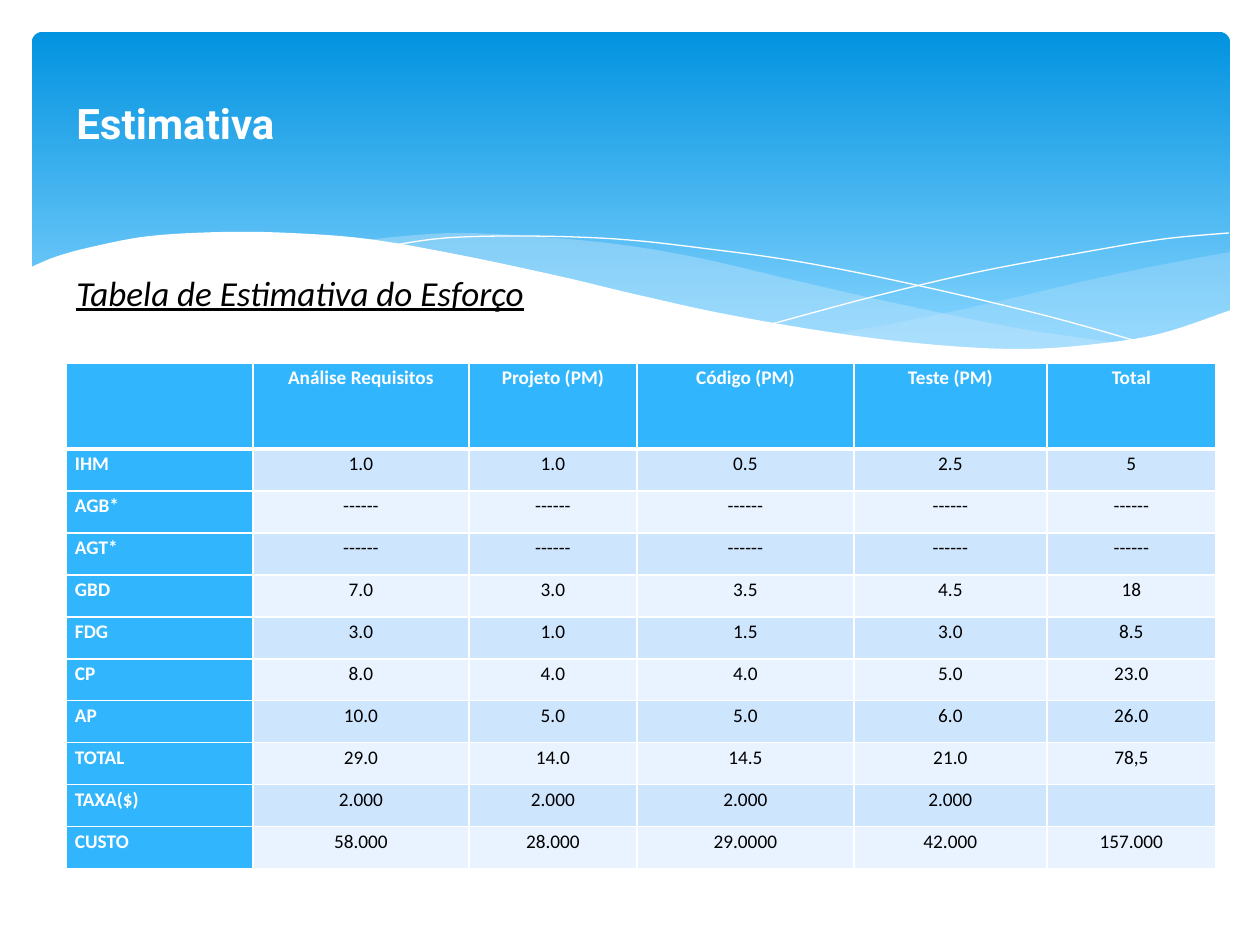
from lxml import etree
from pptx import Presentation, util as u
from pptx.dml.color import RGBColor
from pptx.enum import shapes, text
from pptx.oxml.ns import qn

PX = 914400 // 126
COLORS = {"white": "FFFFFF", "black": "000000", "sky_top": "0293E0", "sky_end": "83D3FE",
          "mist": "C6E7FC", "head": "31B6FD", "odd": "CEE5FE", "even": "E8F3FF"}

# Content
TEXTS = [
    ("Estimativa", (64, 91, 263, 63),
     {"size": u.Pt(24), "name": "Roboto", "bold": True}, "white"),
    ("Tabela de Estimativa do Esforço", (64, 265, 483, 55),
     {"size": u.Pt(20), "name": "Calibri", "italic": True, "underline": True}, "black"),
]
ROWS = [
    ("", "Análise Requisitos", "Projeto (PM)", "Código (PM)", "Teste (PM)", "Total"),
    ("IHM", "1.0", "1.0", "0.5", "2.5", "5"),
    ("AGB*",) + ("------",) * 5,
    ("AGT*",) + ("------",) * 5,
    ("GBD", "7.0", "3.0", "3.5", "4.5", "18"),
    ("FDG", "3.0", "1.0", "1.5", "3.0", "8.5"),
    ("CP", "8.0", "4.0", "4.0", "5.0", "23.0"),
    ("AP", "10.0", "5.0", "5.0", "6.0", "26.0"),
    ("TOTAL", "29.0", "14.0", "14.5", "21.0", "78,5"),
    ("TAXA($)", "2.000", "2.000", "2.000", "2.000", ""),
    ("CUSTO", "58.000", "28.000", "29.0000", "42.000", "157.000"),
]
COL_WIDTHS = (187, 216, 168, 217, 193, 169)
HEAD_HEIGHT, ROW_HEIGHT = 86, 42
TABLE_LEFT, TABLE_TOP = 66, 363
BAND = (32, 32, 1198, 340)

# Waves, back to front: edges (knots of smooth curves), fill, opacity in %
WAVES = [
    ([[(1230, 252), (1160, 265), (1085, 281), (982, 305), (890, 324), (833, 334)],
      [(833, 334), (906, 343), (969, 349), (1026, 350), (1087, 347), (1150, 336),
       (1196, 324), (1230, 311)]], "mist", 29),
    ([[(1125, 344), (1017, 328), (890, 302), (793, 280), (699, 258), (616, 244),
       (529, 236), (455, 233), (394, 237), (360, 241)],
      [(360, 241), (456, 256), (566, 280), (668, 302), (779, 325), (876, 340),
       (959, 349), (1031, 350), (1080, 349), (1125, 344)]], "mist", 40),
    ([[(389, 246), (445, 238), (524, 236), (616, 239), (701, 248), (801, 262),
       (916, 285), (1047, 316), (1143, 343)]], None, 100),
    ([[(772, 324), (876, 296), (978, 272), (1091, 251), (1164, 239), (1229, 233)]],
     None, 100),
    ([[(1231, 310), (1159, 334), (1087, 345), (1019, 349), (937, 345), (842, 334),
       (730, 315), (634, 294), (563, 277), (460, 255), (368, 239), (290, 233),
       (223, 232), (150, 236), (96, 246), (58, 256), (29, 268)],
      [(29, 415), (1231, 415)]], "white", 100),
]


def rgb(name):
    return RGBColor.from_string(COLORS[name])


def emu(*lengths):
    return [round(length * PX) for length in lengths]


def style(font, formats, color):
    for key, value in formats.items():
        setattr(font, key, value)
    font.color.rgb = rgb(color)


def smooth_edge(knots, steps=6):
    """Points of a Catmull-Rom curve through the knots."""
    if len(knots) < 3:
        return knots
    padded = [knots[0], *knots, knots[-1]]
    points = []
    for a, b, c, d in zip(padded, padded[1:], padded[2:], padded[3:]):
        for t in (step / steps for step in range(steps)):
            points.append(tuple(
                (2 * q + (r - p) * t + (2 * p - 5 * q + 4 * r - s) * t ** 2
                 + (3 * q - p - 3 * r + s) * t ** 3) / 2
                for p, q, r, s in zip(a, b, c, d)))
    return points + [knots[-1]]


def add_wave(slide, edges, fill, opacity):
    points = [emu(*point) for edge in edges for point in smooth_edge(edge)]
    builder = slide.shapes.build_freeform(*points[0], scale=1.0)
    builder.add_line_segments(points[1:], close=fill is not None)
    wave = builder.convert_to_shape()
    wave.shadow.inherit = False
    if fill is None:
        wave.fill.background()
        wave.line.color.rgb = rgb("white")
        wave.line.width = 0
        return
    wave.line.fill.background()
    wave.fill.solid()
    wave.fill.fore_color.rgb = rgb(fill)
    if opacity < 100:
        tint = wave.fill._xPr.find(".//" + qn("a:srgbClr"))
        etree.SubElement(tint, qn("a:alpha"), val=str(opacity * 1000))


def add_border(cell, side, points):
    line = etree.SubElement(cell._tc.get_or_add_tcPr(), qn("a:ln" + side),
                            w=str(u.Pt(points)))
    fill = etree.SubElement(line, qn("a:solidFill"))
    etree.SubElement(fill, qn("a:srgbClr"), val=COLORS["white"])


def fill_cell(cell, words, row, col):
    heading = row == 0 or col == 0
    margins = {"margin_left": 9, "margin_right": 9, "margin_top": 0, "margin_bottom": 0}
    for key, value in margins.items():
        setattr(cell, key, value * PX)
    thick = {0: "B", 1: "T"}.get(row)
    for side in "LRTB":
        add_border(cell, side, 3 if side == thick else 1)
    cell.fill.solid()
    cell.fill.fore_color.rgb = rgb("head" if heading else "odd" if row % 2 else "even")
    para = cell.text_frame.paragraphs[0]
    para.line_spacing, para.space_after = 1.15, u.Pt(10)
    para.alignment = text.PP_ALIGN.CENTER if row == 0 or col else text.PP_ALIGN.LEFT
    if words:
        run = para.add_run()
        run.text = words
        style(run.font, {"size": u.Pt(11), "name": "Calibri", "bold": heading},
              "white" if heading else "black")
    else:
        etree.SubElement(para._p, qn("a:endParaRPr"), sz="1100")


def main():
    deck = Presentation()
    deck.slide_width, deck.slide_height = emu(1260, 945)
    slide = deck.slides.add_slide(deck.slide_layouts[6])

    # Sky band and waves
    band = slide.shapes.add_shape(shapes.MSO_SHAPE.ROUNDED_RECTANGLE, *emu(*BAND))
    band.adjustments[0] = 0.03
    band.shadow.inherit = False
    band.line.fill.background()
    band.fill.gradient()
    band.fill.gradient_angle = 270
    for stop, color, position in zip(band.fill.gradient_stops, ("sky_top", "sky_end"), (0, 0.9)):
        stop.color.rgb, stop.position = rgb(color), position
    for wave in WAVES:
        add_wave(slide, *wave)

    # Effort table
    heights = [HEAD_HEIGHT] + [ROW_HEIGHT] * (len(ROWS) - 1)
    table = slide.shapes.add_table(
        len(ROWS), len(COL_WIDTHS),
        *emu(TABLE_LEFT, TABLE_TOP, sum(COL_WIDTHS), sum(heights))).table
    for column, width in zip(table.columns, COL_WIDTHS):
        column.width = width * PX
    for r, (words, height) in enumerate(zip(ROWS, heights)):
        table.rows[r].height = height * PX
        for c, word in enumerate(words):
            fill_cell(table.cell(r, c), word, r, c)

    # Title and subtitle
    for words, place, formats, color in TEXTS:
        frame = slide.shapes.add_textbox(*emu(*place)).text_frame
        frame.word_wrap = False
        frame.auto_size = text.MSO_AUTO_SIZE.SHAPE_TO_FIT_TEXT
        run = frame.paragraphs[0].add_run()
        run.text = words
        style(run.font, formats, color)

    deck.save("out.pptx")


if __name__ == "__main__":
    main()
